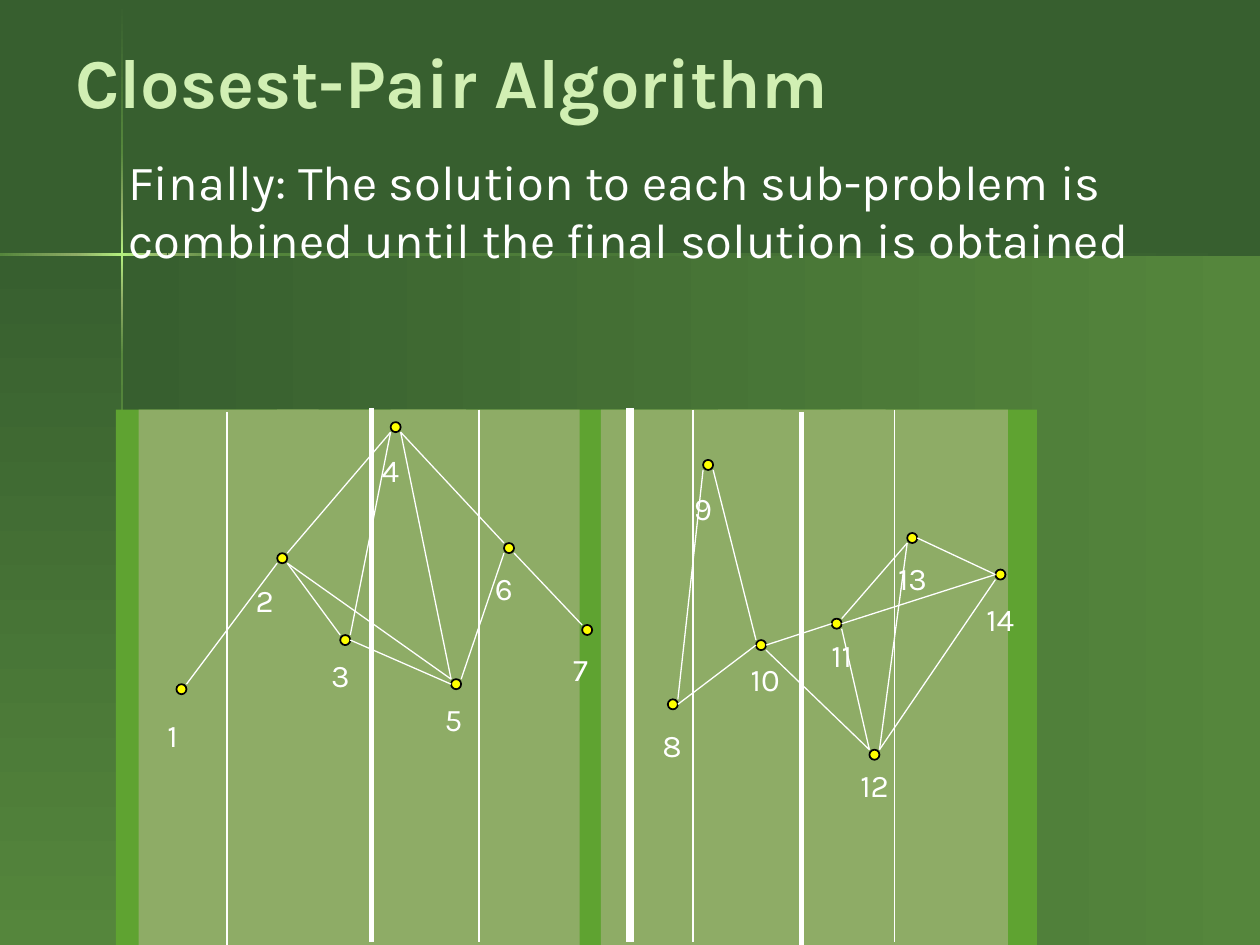
from lxml.etree import SubElement
from pptx import Presentation
from pptx.dml.color import RGBColor
from pptx.enum.shapes import MSO_CONNECTOR, MSO_SHAPE
from pptx.enum.text import MSO_ANCHOR, MSO_AUTO_SIZE
from pptx.oxml.ns import qn
from pptx.util import Cm, Pt

# All places are in inches.
WIDTH, HEIGHT = 10, 7.5
FONT = "Karla"
DARK, MID, PALE, GLOW = "375F2F", "55863C", "8EAC66", "B4EF7F"
GREEN, WHITE, YELLOW, BLACK, TITLE_COLOR = "5FA331", "FFFFFF", "FFFF00", "000000", "D1EFB3"
DOWN, LEFTWARD = 90, 180  # gradient directions, clockwise degrees

TITLE = "Closest-Pair Algorithm"
BODY = ("Finally: The solution to each sub-problem is combined "
        "until the final solution is obtained")

# left, top, width, height, gradient colours, direction
BACKDROP = [
    (0.97, 2.02, 9.03, 5.48, (MID, DARK), LEFTWARD),
    (0, 2.02, 0.97, 5.48, (DARK, MID), DOWN),
    (0.96, 0.01, 0.02, 1.2, (DARK, MID), DOWN),
    (0.96, 2.82, 0.02, 4.68, (MID, DARK), DOWN),
    (1.77, 2.01, 8.23, 0.02, (DARK, MID), LEFTWARD),
    (0.96, 2.38, 0.02, 0.44, (PALE, MID), DOWN),
    (0.96, 1.21, 0.02, 0.44, (MID, PALE), DOWN),
    (0.96, 1.65, 0.02, 0.73, (PALE, GLOW, PALE), DOWN),
    (0, 2.01, 0.61, 0.02, (PALE, MID), LEFTWARD),
    (1.33, 2.01, 0.44, 0.02, (MID, PALE), LEFTWARD),
    (0.6, 2.01, 0.73, 0.02, (PALE, GLOW, PALE), LEFTWARD),
]

# left, width, colour; back to front
STRIP_TOP = 3.25
STRIPS = [
    (6.38, 0.72, GREEN), (5.5, 0.88, GREEN), (5.7, 1.33, PALE),
    (3.8, 1.2, GREEN), (7.1, 1.13, GREEN), (6.67, 1.33, PALE),
    (5, 0.5, GREEN), (4.77, 1.43, PALE), (2.92, 0.88, GREEN),
    (1.8, 1.15, GREEN), (2.2, 1.5, PALE), (3.1, 1.5, PALE),
    (0.92, 0.88, GREEN), (1.1, 1.43, PALE),
]

# x, top, bottom, line width in points
DIVIDERS = [
    (5, 3.24, 7.48, 5), (2.95, 3.24, 7.48, 3), (6.36, 3.27, 7.5, 3),
    (1.8, 3.27, 7.5, 1), (3.8, 3.25, 7.48, 1), (5.5, 3.25, 7.48, 1),
    (7.1, 3.25, 7.48, 1),
]

# point number: (dot left, dot top), (label left, label top)
DOT = 0.08
POINTS = {
    1: ((1.4, 5.43), (1.23, 5.63)),
    2: ((2.2, 4.39), (1.93, 4.56)),
    3: ((2.7, 5.04), (2.53, 5.16)),
    4: ((3.1, 3.35), (2.93, 3.53)),
    5: ((3.58, 5.39), (3.43, 5.51)),
    6: ((4, 4.31), (3.83, 4.47)),
    7: ((4.62, 4.96), (4.45, 5.11)),
    8: ((5.3, 5.55), (5.16, 5.71)),
    9: ((5.58, 3.65), (5.41, 3.83)),
    10: ((6, 5.08), (5.86, 5.19)),
    11: ((6.6, 4.91), (6.5, 5)),
    12: ((6.9, 5.95), (6.73, 6.03)),
    13: ((7.2, 4.23), (7.03, 4.39)),
    14: ((7.9, 4.52), (7.73, 4.71)),
}
PAIRS = [
    (2, 3), (1, 2), (5, 4), (7, 6), (6, 4), (6, 5), (3, 4), (5, 3), (5, 2), (4, 2),
    (9, 10), (8, 10), (8, 9), (11, 12), (13, 14), (13, 12), (14, 12), (14, 11),
    (11, 13), (10, 12), (10, 11),
]


def inches(*values):
    return [Cm(value * 2.54) for value in values]


def rgb(color):
    return RGBColor.from_string(color)


def add_filled(page, kind, place, color=None):
    shape = page.shapes.add_shape(kind, *inches(*place))
    shape.shadow.inherit = False
    shape.line.fill.background()
    if color:
        shape.fill.solid()
        shape.fill.fore_color.rgb = rgb(color)
    return shape


def set_gradient(fill, colors, direction):
    fill.gradient()
    fill.gradient_angle = 360 - direction  # python-pptx counts counter-clockwise
    stops = fill.gradient_stops[0]._gs.getparent()
    for stop in list(stops):
        stops.remove(stop)
    for index, color in enumerate(colors):
        position = 100000 * index // (len(colors) - 1)
        stop = SubElement(stops, qn("a:gs"), pos=str(position))
        SubElement(stop, qn("a:srgbClr"), val=color)


def add_text(page, place, text, size, color=WHITE):
    box = page.shapes.add_textbox(*inches(*place))
    frame = box.text_frame
    frame.word_wrap = True
    frame.text = text
    font = frame.paragraphs[0].runs[0].font
    font.name, font.size, font.color.rgb = FONT, Pt(size), rgb(color)
    return box


def add_line(page, start, end, width):
    line = page.shapes.add_connector(MSO_CONNECTOR.STRAIGHT, *inches(*start, *end))
    line.line.color.rgb = rgb(WHITE)
    line.line.width = Pt(width)
    SubElement(line._element.spPr, qn("a:effectLst"))


def edge_of_dot(dot, other):
    """Corner of the dot's square that faces the other dot, or mid-side if the line is flat."""
    across, down = other[0] - dot[0], other[1] - dot[1]
    x = dot[0] + (DOT if across > 0 else 0)
    if abs(down) < 0.7 * abs(across):
        return x, dot[1] + DOT / 2
    return x, dot[1] + (DOT if down > 0 else 0)


def main():
    deck = Presentation()
    deck.slide_width, deck.slide_height = inches(WIDTH, HEIGHT)
    page = deck.slides.add_slide(deck.slide_layouts[6])
    page.background.fill.solid()
    page.background.fill.fore_color.rgb = rgb(DARK)

    for *place, colors, direction in BACKDROP:
        panel = add_filled(page, MSO_SHAPE.RECTANGLE, place)
        set_gradient(panel.fill, colors, direction)
    for left, width, color in STRIPS:
        place = (left, STRIP_TOP, width, HEIGHT - STRIP_TOP)
        add_filled(page, MSO_SHAPE.RECTANGLE, place, color)

    body = add_text(page, (0.92, 1.15, 8.75, 1.04), BODY, 28)
    body.text_frame.auto_size = MSO_AUTO_SIZE.SHAPE_TO_FIT_TEXT

    for number, (dot_place, label_place) in POINTS.items():
        dot = add_filled(page, MSO_SHAPE.OVAL, (*dot_place, DOT, DOT), YELLOW)
        dot.line.color.rgb = rgb(BLACK)
        dot.line.width = Pt(1)
        label = add_text(page, (*label_place, 0.5, 0.4), str(number), 18)
        label.text_frame.auto_size = MSO_AUTO_SIZE.SHAPE_TO_FIT_TEXT

    title = add_text(page, (0.5, 0.33, 7.4, 0.62), TITLE, 40, TITLE_COLOR)
    title.text_frame.vertical_anchor = MSO_ANCHOR.MIDDLE
    title.text_frame.paragraphs[0].runs[0].font.bold = True

    for x, top, bottom, width in DIVIDERS:
        add_line(page, (x, top), (x, bottom), width)
    for first, second in PAIRS:
        start, end = POINTS[first][0], POINTS[second][0]
        add_line(page, edge_of_dot(start, end), edge_of_dot(end, start), 0.75)

    deck.save("out.pptx")


if __name__ == "__main__":
    main()
